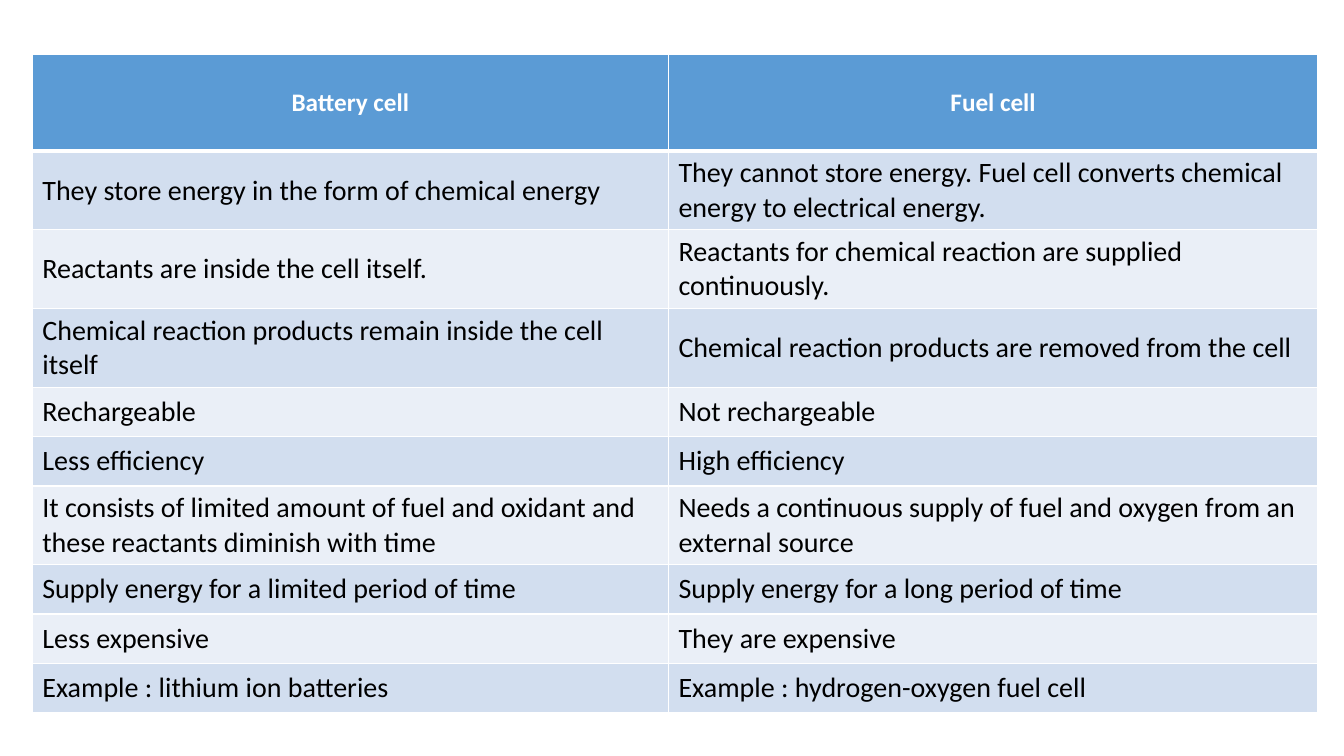
from pptx import Presentation
from pptx.dml.color import RGBColor
from pptx.enum.text import MSO_ANCHOR as Anchor, PP_ALIGN as Align
from pptx.oxml import parse_xml
from pptx.oxml.ns import nsdecls
from pptx.util import Inches, Pt

ROWS = [
    ("Battery cell", "Fuel cell"),
    ("They store energy in the form of chemical energy",
     "They cannot store energy. Fuel cell converts chemical energy to electrical energy."),
    ("Reactants are inside the cell itself.",
     "Reactants for chemical reaction are supplied continuously."),
    ("Chemical reaction products remain inside the cell itself",
     "Chemical reaction products are removed from the cell"),
    ("Rechargeable", "Not rechargeable"),
    ("Less efficiency", "High efficiency"),
    ("It consists of limited amount of fuel and oxidant and these reactants diminish with time",
     "Needs a continuous supply of fuel and oxygen from an external source"),
    ("Supply energy for a limited period of time", "Supply energy for a long period of time"),
    ("Less expensive", "They are expensive"),
    ("Example : lithium ion batteries", "Example : hydrogen-oxygen fuel cell"),
]
HEAD, TALL, LOW = 0.96, 0.77, 0.49
HEIGHTS = [HEAD] + [TALL] * 3 + [LOW] * 2 + [TALL] + [LOW] * 3
WIDTHS = [6.31, 6.44]


def color(code):
    return RGBColor.from_string(code)


class Deck:
    """Hold the table style and the current slide."""

    font = "Calibri"
    blue, bands = "5B9BD5", ("EAEFF7", "D2DEEF")
    white, black = "FFFFFF", "000000"

    def __init__(self, show):
        self.slide = show.slides.add_slide(show.slide_layouts[6])

    def border(self, cell, side, width):
        line = parse_xml(
            f'<a:ln{side} {nsdecls("a")} w="{Pt(width)}"><a:solidFill>'
            f'<a:srgbClr val="{self.white}"/></a:solidFill></a:ln{side}>')
        cell._tc.get_or_add_tcPr().append(line)

    def cell(self, cell, text, row):
        head = row == 0
        for side in "LRTB":
            thick = (head and side == "B") or (row == 1 and side == "T")
            self.border(cell, side, 3 if thick else 1)
        cell.fill.solid()
        cell.fill.fore_color.rgb = color(self.blue if head else self.bands[row % 2])
        cell.vertical_anchor = Anchor.MIDDLE
        cell.text_frame.text = text
        para = cell.text_frame.paragraphs[0]
        para.alignment = Align.CENTER if head else Align.LEFT
        font = para.runs[0].font
        font.name, font.bold = self.font, head
        font.size = Pt(18 if head else 20)
        font.color.rgb = color(self.white if head else self.black)

    def table(self, left, top, widths, heights, rows):
        frame = self.slide.shapes.add_table(
            len(rows), len(widths), Inches(left), Inches(top),
            Inches(sum(widths)), Inches(sum(heights)))
        table = frame.table
        for col, width in zip(table.columns, widths):
            col.width = Inches(width)
        for row, height in zip(table.rows, heights):
            row.height = Inches(height)
        for i, texts in enumerate(rows):
            for j, text in enumerate(texts):
                self.cell(table.cell(i, j), text, i)


def main():
    show = Presentation()
    show.slide_width, show.slide_height = Inches(13.33), Inches(7.5)
    Deck(show).table(0.32, 0.54, WIDTHS, HEIGHTS, ROWS)
    show.save("out.pptx")


if __name__ == "__main__":
    main()
